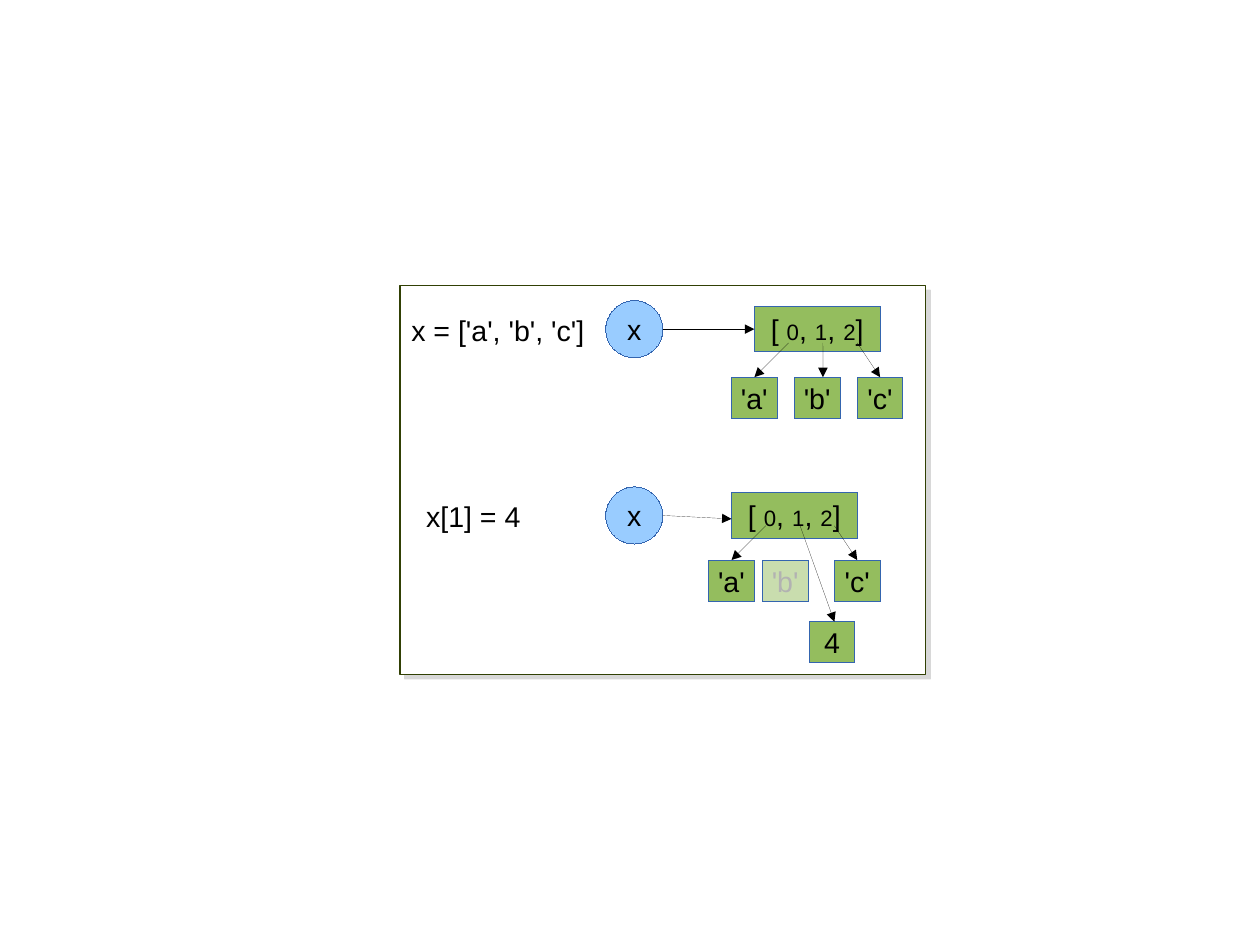
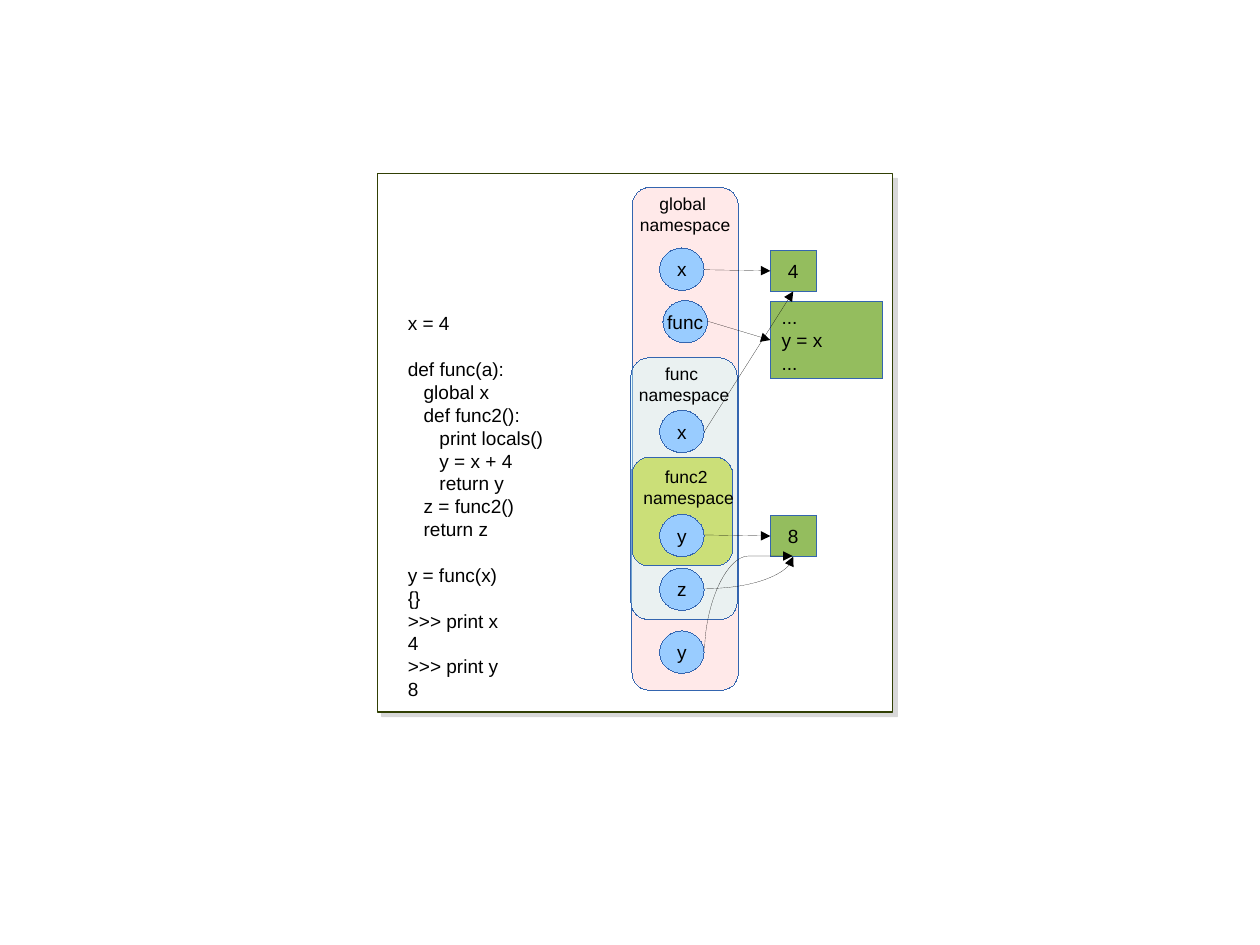
from pptx import Presentation
from pptx.dml.color import RGBColor
from pptx.enum.shapes import MSO_CONNECTOR, MSO_SHAPE
from pptx.enum.text import MSO_ANCHOR, PP_ALIGN
from pptx.oxml import parse_xml
from pptx.oxml.ns import nsdecls, qn
from pptx.util import Cm, Inches, Pt
from lxml import etree

BLACK, WHITE, BLUE, GREEN, EDGE, BORDER = "000000", "FFFFFF", "99CCFF", "94BD5E", "3465AF", "314004"
RECT, OVAL, ROUND = MSO_SHAPE.RECTANGLE, MSO_SHAPE.OVAL, MSO_SHAPE.ROUNDED_RECTANGLE
LEFT, CENTER = PP_ALIGN.LEFT, PP_ALIGN.CENTER
rgb = RGBColor.from_string
LINE_GAP = 14.4


def add_node(s, kind, box, fill=None, lines=(), al=CENTER, color=BLACK, opacity=None):
    place = [Inches(v) for v in box]
    if kind is None:
        sp = s.shapes.add_textbox(*place)
    else:
        sp = s.shapes.add_shape(kind, *place)
        sp.shadow.inherit = False
        sp.fill.solid()
        sp.fill.fore_color.rgb = rgb(fill)
        sp.line.color.rgb = rgb(EDGE)
        sp._element.spPr.find(qn("a:ln")).set("w", "0")
        if opacity:
            clr = sp._element.spPr.find(qn("a:solidFill"))[0]
            etree.SubElement(clr, qn("a:alpha")).set("val", str(opacity * 1000))
    tf = sp.text_frame
    tf.word_wrap = al == LEFT
    tf.vertical_anchor = MSO_ANCHOR.TOP if kind is None else MSO_ANCHOR.MIDDLE
    p, gap = tf.paragraphs[0], 0
    for i, line in enumerate(lines):
        if not line:
            gap = LINE_GAP
            continue
        if i:
            p = tf.add_paragraph()
            p.space_before = Pt(gap)
        p.alignment = al
        gap = 0
        for text, size in line:
            r = p.add_run()
            r.text = text
            r.font.name = "Arial"
            r.font.size = Pt(size)
            r.font.color.rgb = rgb(color)
    return sp


def add_arrow(s, start, end, target=None, site=1, kind=MSO_CONNECTOR.STRAIGHT):
    cn = s.shapes.add_connector(kind, *[Inches(v) for v in (*start, *end)])
    if target is not None:
        cn.end_connect(target, site)
    cn.line.color.rgb = rgb(BLACK)
    ln = cn._element.spPr.find(qn("a:ln"))
    ln.set("w", "0")
    etree.SubElement(ln, qn("a:tailEnd")).set("type", "triangle")
    etree.SubElement(cn._element.spPr, qn("a:effectLst"))
    return cn


prs = Presentation()
prs.slide_width, prs.slide_height = Cm(28), Cm(21)

slides = []
for frame_box in [(3.5, 2.5, 4.6, 3.4), (3.3, 1.52, 4.51, 4.71)]:
    s = prs.slides.add_slide(prs.slide_layouts[6])
    frame = add_node(s, RECT, frame_box, WHITE)
    frame.line.color.rgb = rgb(BORDER)
    frame.line.width = Pt(0.71)
    frame._element.spPr.find(qn("a:effectLst")).append(parse_xml(
        f'<a:outerShdw {nsdecls("a")} blurRad="0" dist="52070" dir="2700000" algn="tl" rotWithShape="0">'
        '<a:srgbClr val="808080"><a:alpha val="30000"/></a:srgbClr></a:outerShdw>'))
    slides.append(s)

CELL_W, CELL_H = 0.4, 0.36
s = slides[0]
index_line = [(t, 14 if t.isdigit() else 18) for t in ("[ ", "0", ", ", "1", ", ", "2", "]")]
states = [
    ("x = ['a', 'b', 'c']", 3.5, 2.69, 2.63, (6.6, 2.68), 2.88, 3.0,
     [("'a'", 6.4, 3.3, 6.6), ("'b'", 6.95, 3.3, 7.2), ("'c'", 7.5, 3.3, 7.7)]),
    ("x[1] = 4", 3.63, 4.32, 4.26, (6.4, 4.31), 4.54, 4.6,
     [("'a'", 6.2, 4.9, 6.4), ("4", 7.08, 5.44, 7.3), ("'c'", 7.3, 4.9, 7.5)]),
]
for code, code_x, code_y, name_y, (list_x, list_y), tip_y, tail_y, cells in states:
    add_node(s, None, (code_x, code_y, 1.8, 0.38), lines=[[(code, 18)]], al=LEFT)
    add_node(s, OVAL, (5.3, name_y, 0.5, 0.5), BLUE, [[("x", 18)]])
    items = add_node(s, RECT, (list_x, list_y, 1.1, 0.4), GREEN, [index_line])
    centred = abs(tip_y - list_y - 0.2) < 0.01
    add_arrow(s, (5.8, name_y + 0.25), (list_x, tip_y), items if centred else None)
    for i, (value, x, y, tip_x) in enumerate(cells):
        cell = add_node(s, RECT, (x, y, CELL_W, CELL_H), GREEN, [[(value, 18)]])
        centred = abs(tip_x - x - CELL_W / 2) < 0.01
        add_arrow(s, (list_x + 0.3 * (i + 1), tail_y), (tip_x, y), cell if centred else None, 0)
add_node(s, RECT, (6.67, 4.9, CELL_W, CELL_H), GREEN, [[("'b'", 18)]], color="B2B2B2", opacity=50)

s = slides[1]
code = """x = 4

def func(a):
   global x
   def func2():
      print locals()
      y = x + 4
      return y
   z = func2()
   return z

y = func(x)
{}
>>> print x
4
>>> print y
8"""
add_node(s, None, (3.47, 2.68, 1.7, 3.3), al=LEFT,
         lines=[[(t, 12)] if t else [] for t in code.split("\n")])

namespaces = [
    ("global ", (5.53, 1.64, 0.93, 4.4), "FFC8C8", 40, 5.5, 1.64),
    ("func ", (5.52, 3.13, 0.93, 2.29), "CCFFFF", 40, 5.49, 3.13),
    ("func2 ", (5.53, 4.0, 0.88, 0.95), "AECF00", 50, 5.53, 4.03),
]
for name, box, fill, opacity, label_x, label_y in namespaces:
    add_node(s, ROUND, box, fill, opacity=opacity)
    add_node(s, None, (label_x, label_y, 0.99, 0.45), lines=[[(name, 11)], [("namespace", 11)]])

NAME_W, NAME_H = 0.39, 0.37
for name, x, y in [("x", 5.77, 2.17), ("func", 5.8, 2.63), ("x", 5.77, 3.59),
                   ("y", 5.77, 4.5), ("z", 5.77, 4.97), ("y", 5.77, 5.52)]:
    add_node(s, OVAL, (x, y, NAME_W, NAME_H), BLUE, [[(name, 12)]])

four, eight = [add_node(s, RECT, (6.74, y, CELL_W, CELL_H), GREEN, [[(value, 12)]])
               for value, y in [("4", 2.19), ("8", 4.51)]]
body = add_node(s, RECT, (6.74, 2.64, 0.98, 0.67), GREEN,
                [[(t, 12)] for t in ("...", "y = x", "...")], al=LEFT)

for start, end, target, site in [((6.16, 2.36), (6.74, 2.37), four, 1),
                                 ((6.19, 2.81), (6.74, 2.97), body, 1),
                                 ((6.16, 3.78), (6.94, 2.55), four, 2),
                                 ((6.16, 4.68), (6.74, 4.69), eight, 1)]:
    add_arrow(s, start, end, target, site)

z_arrow = add_arrow(s, (6.16, 5.15), (6.94, 4.87), kind=MSO_CONNECTOR.CURVE)
z_arrow._element.spPr.find(qn("a:prstGeom")).set("prst", "curvedConnector2")

y_arrow = add_arrow(s, (6.97, 5.67), (6.13, 4.9), kind=MSO_CONNECTOR.CURVE)
y_arrow._element.spPr.find(qn("a:xfrm")).set("rot", "5400000")
guides = y_arrow._element.spPr.find(qn("a:prstGeom")).find(qn("a:avLst"))
guide = etree.SubElement(guides, qn("a:gd"))
guide.set("name", "adj1")
guide.set("fmla", "val 100000")

prs.save("out.pptx")
